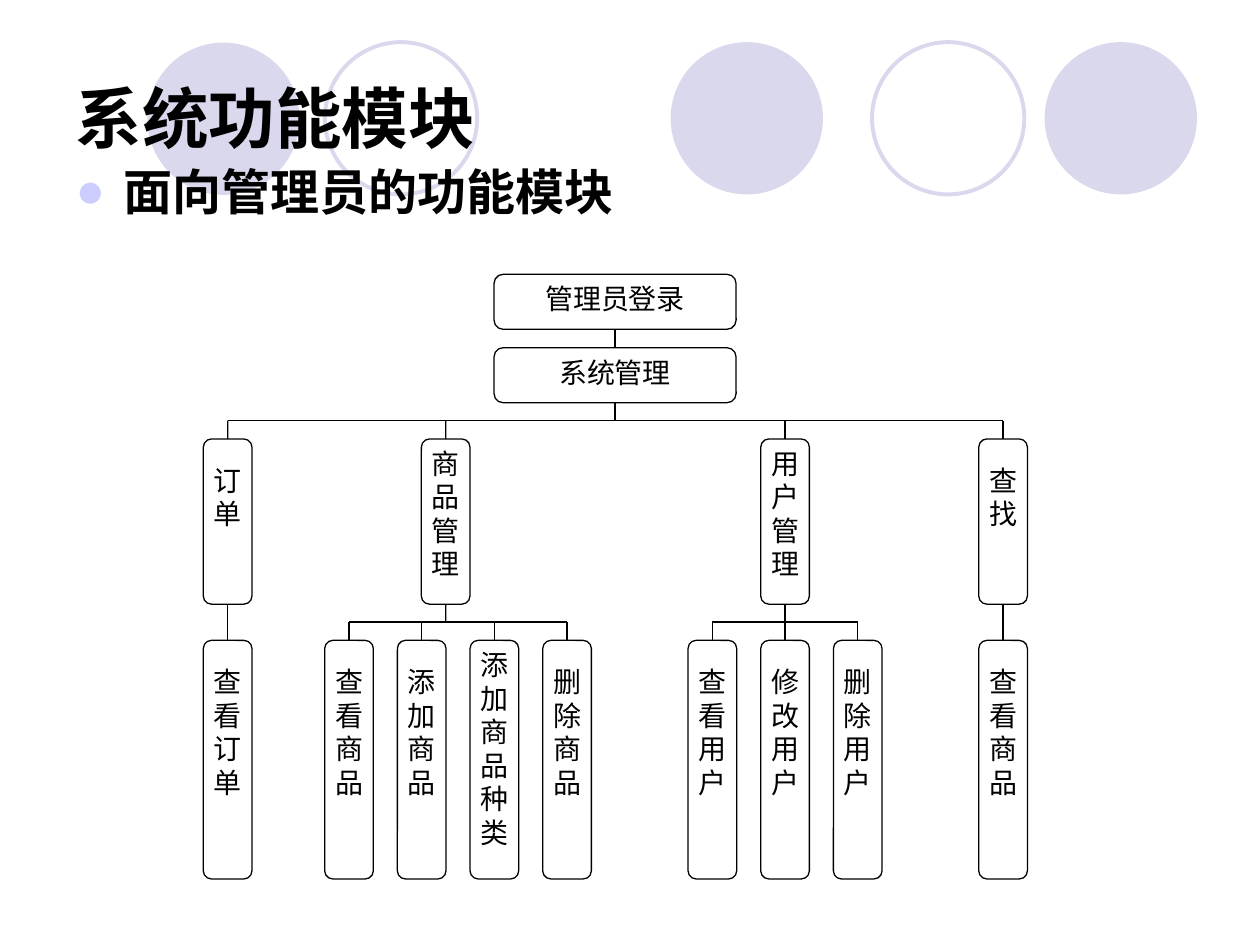
from lxml import etree
from pptx import Presentation
from pptx.dml.color import RGBColor
from pptx.enum.shapes import MSO_CONNECTOR, MSO_SHAPE
from pptx.enum.text import MSO_ANCHOR, PP_ALIGN
from pptx.oxml.ns import qn
from pptx.util import Cm, Pt

OVAL, ROUNDED = MSO_SHAPE.OVAL, MSO_SHAPE.ROUNDED_RECTANGLE
STRAIGHT = MSO_CONNECTOR.STRAIGHT
TOP, MIDDLE = MSO_ANCHOR.TOP, MSO_ANCHOR.MIDDLE
LEFT, CENTER, JUSTIFY = PP_ALIGN.LEFT, PP_ALIGN.CENTER, PP_ALIGN.JUSTIFY
SITE_TOP, SITE_BOTTOM = 0, 2
COLORS = {"ink": "000000", "paper": "FFFFFF", "circle": "D9D8EC", "bullet": "CCCCFF"}
RGB = {name: RGBColor.from_string(value) for name, value in COLORS.items()}


def write(frame, text, size, font, bold=False, align=LEFT, anchor=TOP):
    frame.word_wrap = True
    frame.vertical_anchor = anchor
    paragraph = frame.paragraphs[0]
    paragraph.text = text
    paragraph.alignment = align
    paragraph.space_before = Pt(0)
    run_font = paragraph.runs[0].font
    run_font.name, run_font.size, run_font.bold = font, Pt(size), bold
    run_font.color.rgb = RGB["ink"]
    return paragraph


def link(start, end, upper=None, lower=None):
    connector = slide.shapes.add_connector(STRAIGHT, *(Cm(v) for v in start + end))
    connector.line.color.rgb = RGB["ink"]
    connector.line.width = Pt(0.75)
    etree.SubElement(connector.element.spPr, qn("a:effectLst"))
    if upper is not None:
        connector.begin_connect(upper, SITE_BOTTOM)
    if lower is not None:
        connector.end_connect(lower, SITE_TOP)


prs = Presentation()
prs.slide_width, prs.slide_height = Cm(25.4), Cm(19.05)
slide = prs.slides.add_slide(prs.slide_layouts[1])
title, subtitle = slide.placeholders

# Background circles: left edge, top, filled or outlined
for left, top, filled in [(13.52, 0.85, True), (21.06, 0.85, True), (2.97, 0.86, True),
                          (17.58, 0.85, False), (6.55, 0.85, False)]:
    circle = slide.shapes.add_shape(OVAL, Cm(left), Cm(top), Cm(3.07), Cm(3.07))
    circle.shadow.inherit = False
    if filled:
        circle.fill.solid()
        circle.fill.fore_color.rgb = RGB["circle"]
        circle.line.fill.background()
    else:
        circle.fill.background()
        circle.line.color.rgb = RGB["circle"]
        circle.line.width = Pt(2.25)

# Title and subtitle, in front of the circles
for holder, top, height in [(title, 0.76, 3.18), (subtitle, 3.12, 13.89)]:
    circle.element.getparent().append(holder.element)
    holder.left, holder.top = Cm(1.27), Cm(top)
    holder.width, holder.height = Cm(22.86), Cm(height)
write(title.text_frame, "系统功能模块", 38, "Arial", bold=True, anchor=MIDDLE)
heading = write(subtitle.text_frame, "面向管理员的功能模块", 28, "Arial", bold=True, align=JUSTIFY)
properties = heading._p.get_or_add_pPr()
properties.set("marL", str(Cm(0.97)))
properties.set("indent", str(-Cm(0.97)))
bullet_color = etree.SubElement(properties, qn("a:buClr"))
etree.SubElement(bullet_color, qn("a:srgbClr"), val=COLORS["bullet"])
etree.SubElement(properties, qn("a:buChar"), char="●")

# Module tree: name, column, submodules, column of the first submodule
MODULES = [
    ("订单", 0, ["查看订单"], 0),
    ("商品管理", 3, ["查看商品", "添加商品", "添加商品种类", "删除商品"], 1.67),
    ("用户管理", 7.67, ["查看用户", "修改用户", "删除用户"], 6.67),
    ("查找", 10.67, ["查看商品"], 10.67),
]
FIRST_X, PITCH = 4.59, 1.465
ROOT_X = 12.4
LOGIN_Y, SYSTEM_Y, MODULE_Y, SUBMODULE_Y = 5.53, 7.01, 8.85, 12.91
ROOT_SIZE, MODULE_SIZE, SUBMODULE_SIZE = (4.88, 1.11), (0.98, 3.33), (0.98, 4.81)
MODULE_BUS_Y, SUBMODULE_BUS_Y = 8.48, 12.54
DROP = 0.34  # extra space above names shorter than their box

# Boxes: text, centre, top, size, number of characters that fill the box
nodes = [("管理员登录", ROOT_X, LOGIN_Y, ROOT_SIZE, 0),
         ("系统管理", ROOT_X, SYSTEM_Y, ROOT_SIZE, 0)]
for module, column, submodules, first in MODULES:
    nodes.append((module, FIRST_X + column * PITCH, MODULE_Y, MODULE_SIZE, 4))
    for i, submodule in enumerate(submodules):
        nodes.append((submodule, FIRST_X + (first + i) * PITCH, SUBMODULE_Y, SUBMODULE_SIZE, 6))

boxes = []
for text, x, top, (width, height), capacity in nodes:
    box = slide.shapes.add_shape(ROUNDED, Cm(x - width / 2), Cm(top), Cm(width), Cm(height))
    box.adjustments[0] = 0.167
    box.shadow.inherit = False
    box.fill.solid()
    box.fill.fore_color.rgb = RGB["paper"]
    box.line.color.rgb = RGB["ink"]
    box.line.width = Pt(0.75)
    frame = box.text_frame
    frame.margin_left = frame.margin_right = Cm(0.15)
    frame.margin_top = Cm(0.1 + (DROP if len(text) < capacity else 0))
    frame.margin_bottom = Cm(0.1)
    write(frame, text, 16, "Times New Roman", align=CENTER)
    boxes.append(box)

# Connectors from the login down to the modules
login, system, *branches = boxes
link((ROOT_X, LOGIN_Y + ROOT_SIZE[1]), (ROOT_X, SYSTEM_Y), login, system)
link((ROOT_X, SYSTEM_Y + ROOT_SIZE[1]), (ROOT_X, MODULE_BUS_Y), system)
link((FIRST_X, MODULE_BUS_Y), (FIRST_X + MODULES[-1][1] * PITCH, MODULE_BUS_Y))

# Connectors from each module to its submodules
remaining = iter(branches)
for module, column, submodules, first in MODULES:
    x = FIRST_X + column * PITCH
    bottom = MODULE_Y + MODULE_SIZE[1]
    parent = next(remaining)
    link((x, MODULE_BUS_Y), (x, MODULE_Y), lower=parent)
    if len(submodules) == 1:
        link((x, bottom), (x, SUBMODULE_Y), parent, next(remaining))
        continue
    child_xs = [FIRST_X + (first + i) * PITCH for i in range(len(submodules))]
    link((x, bottom), (x, SUBMODULE_BUS_Y), parent)
    link((child_xs[0], SUBMODULE_BUS_Y), (child_xs[-1], SUBMODULE_BUS_Y))
    for child_x in child_xs:
        link((child_x, SUBMODULE_BUS_Y), (child_x, SUBMODULE_Y), lower=next(remaining))

prs.save("out.pptx")
